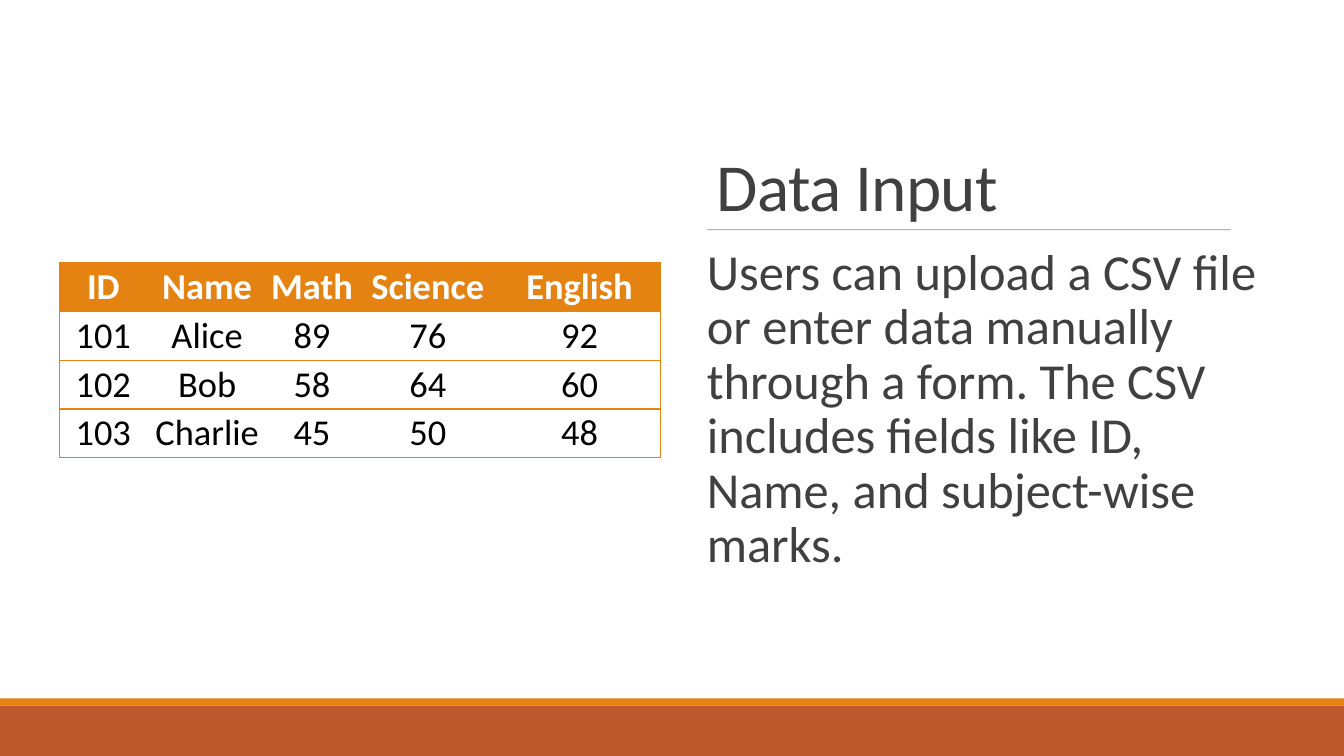
import pptx
import pptx.dml.color
import pptx.enum.shapes
import pptx.enum.text
import pptx.oxml
import pptx.oxml.ns
import pptx.util
from dataclasses import dataclass

Inches, Pt = pptx.util.Inches, pptx.util.Pt
RGB = pptx.dml.color.RGBColor.from_string
ANCHOR, ALIGN = pptx.enum.text.MSO_ANCHOR, pptx.enum.text.PP_ALIGN
qn = pptx.oxml.ns.qn


@dataclass(frozen=True)
class Theme:
    font: str = "Calibri"
    orange: str = "E48312"
    rust: str = "BD582C"
    text: str = "404040"
    black: str = "000000"
    white: str = "FFFFFF"
    rule: str = "808080"
    title: int = 48
    body: int = 36
    cell: int = 26


T = Theme()
W, H = 13.33, 7.5
MARKS = [
    ("ID", "Name", "Math", "Science", "English"),
    ("101", "Alice", "89", "76", "92"),
    ("102", "Bob", "58", "64", "60"),
    ("103", "Charlie", "45", "50", "48"),
]
COLS = [0.87, 1.19, 0.89, 1.41, 1.6]


def element(xml):
    ns = pptx.oxml.ns.nsdecls("a")
    return pptx.oxml.parse_xml(xml.replace(">", f" {ns}>", 1))


def add_run(p, text, size, color, bold=False):
    r = p.add_run()
    r.text = text
    r.font.name, r.font.size, r.font.bold = T.font, Pt(size), bold
    r.font.color.rgb = RGB(color)
    return r


def place(sp, x, y, w, h):
    sp.left, sp.top, sp.width, sp.height = map(Inches, (x, y, w, h))
    tf = sp.text_frame
    tf.word_wrap = True
    tf.auto_size = pptx.enum.text.MSO_AUTO_SIZE.NONE
    p = tf.paragraphs[0]
    p.alignment = ALIGN.LEFT
    p.space_before = Pt(0)
    return tf, p


def footer_bands(s, x, y, w, h):
    edge = 0.07
    for top, height, color in ((y, edge, T.orange), (y + edge, h - edge, T.rust)):
        sp = s.shapes.add_shape(pptx.enum.shapes.MSO_SHAPE.RECTANGLE,
                                Inches(x), Inches(top), Inches(w), Inches(height))
        sp.shadow.inherit = False
        sp.fill.solid()
        sp.fill.fore_color.rgb = RGB(color)
        sp.line.fill.background()


def text_panel(s, x, y, w, h):
    title_h, gap = 1.59, 0.12
    # Title
    tf, p = place(s.shapes.title, x, y, w, title_h)
    tf.vertical_anchor = ANCHOR.BOTTOM
    p.line_spacing = 0.85
    r = add_run(p, "Data Input", T.title, T.text)
    r.font._element.set("spc", "-50")

    # Rule under the title
    rule_y = Inches(y + title_h)
    ln = s.shapes.add_connector(pptx.enum.shapes.MSO_CONNECTOR.STRAIGHT,
                                Inches(x), rule_y, Inches(x + 5.2), rule_y)
    ln.line.color.rgb = RGB(T.rule)
    ln.line.width = Pt(0.5)
    color = next(ln._element.spPr.iter(qn("a:srgbClr")))
    color.append(element('<a:alpha val="90000"></a:alpha>'))
    ln._element.spPr.append(element("<a:effectLst></a:effectLst>"))

    # Body
    body_y = title_h + gap
    tf, p = place(s.placeholders[1], x, y + body_y, w, h - body_y)
    tf.vertical_anchor = ANCHOR.TOP
    tf.margin_left = tf.margin_right = 0
    p.line_spacing = 0.9
    pPr = p._p.get_or_add_pPr()
    pPr.set("marL", "0")
    pPr.set("indent", "0")
    pPr.append(element("<a:buNone></a:buNone>"))
    add_run(p, "Users can upload a CSV file or enter data manually through a form. "
               "The CSV includes fields like ID, Name, and subject-wise marks.",
            T.body, T.text)


def set_borders(cell, first, last):
    tcPr = cell._tc.get_or_add_tcPr()
    shown = {"L": first, "R": last, "T": True, "B": True}
    for i, (side, on) in enumerate(shown.items()):
        fill = (f'<a:solidFill><a:srgbClr val="{T.orange}"/></a:solidFill>'
                if on else "<a:noFill/>")
        tcPr.insert(i, element(f'<a:ln{side} w="{Pt(1)}">{fill}</a:ln{side}>'))


def marks_table(s, x, y, w, h):
    tbl = s.shapes.add_table(len(MARKS), len(COLS),
                             Inches(x), Inches(y), Inches(w), Inches(h)).table
    tbl.horz_banding = False
    for col, width in zip(tbl.columns, COLS):
        col.width = Inches(width)
    for i, row in enumerate(MARKS):
        header = i == 0
        for j, text in enumerate(row):
            cell = tbl.cell(i, j)
            cell.margin_left = cell.margin_right = 0
            cell.margin_top = cell.margin_bottom = 0
            cell.vertical_anchor = ANCHOR.MIDDLE
            if header:
                cell.fill.solid()
                cell.fill.fore_color.rgb = RGB(T.orange)
            else:
                cell.fill.background()
            set_borders(cell, j == 0, j == len(COLS) - 1)
            p = cell.text_frame.paragraphs[0]
            p.alignment = ALIGN.CENTER
            add_run(p, text, T.cell, T.white if header else T.black, header)


def main():
    prs = pptx.Presentation()
    prs.slide_width, prs.slide_height = Inches(W), Inches(H)
    s = prs.slides.add_slide(prs.slide_layouts[1])
    s.background.fill.solid()
    s.background.fill.fore_color.rgb = RGB(T.white)
    text_panel(s, 7.01, 0.69, 5.61, 5.72)
    footer_bands(s, 0, 6.93, W, 0.57)
    marks_table(s, 0.59, 2.61, sum(COLS), 1.93)
    prs.save("out.pptx")


if __name__ == "__main__":
    main()
